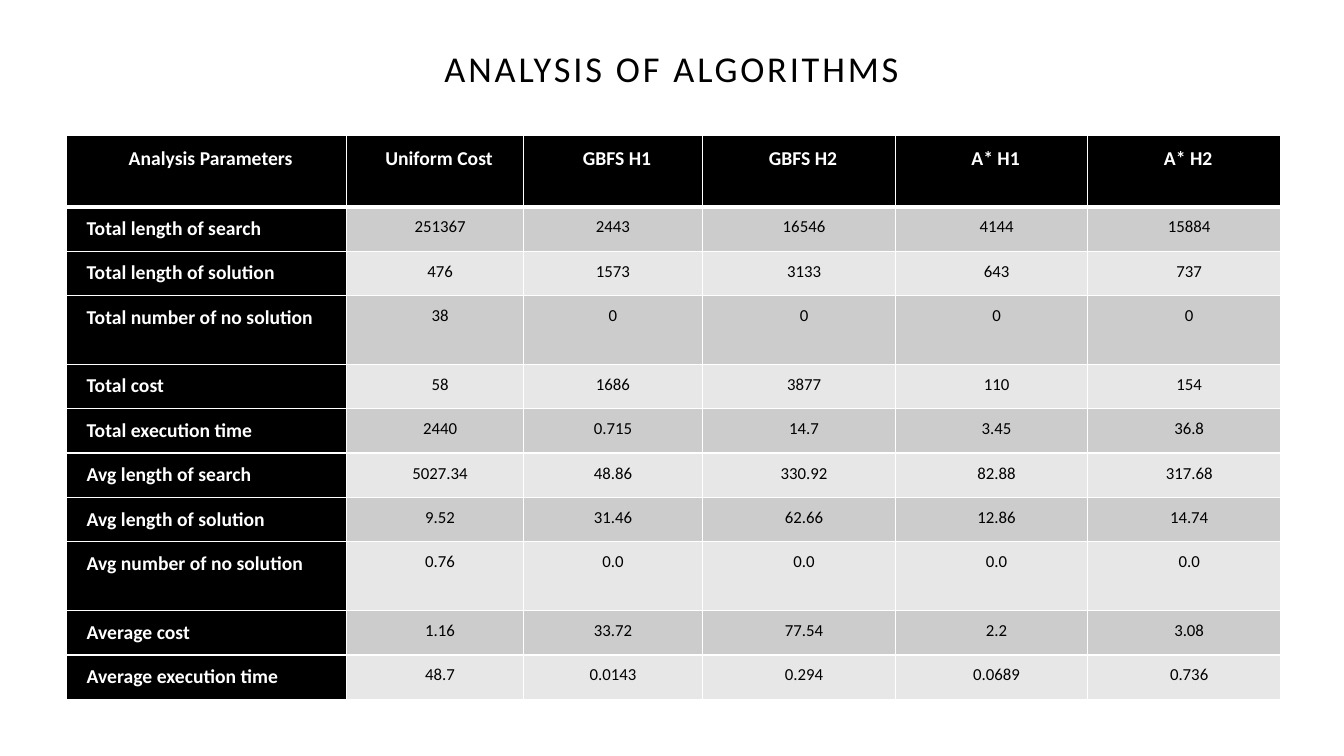
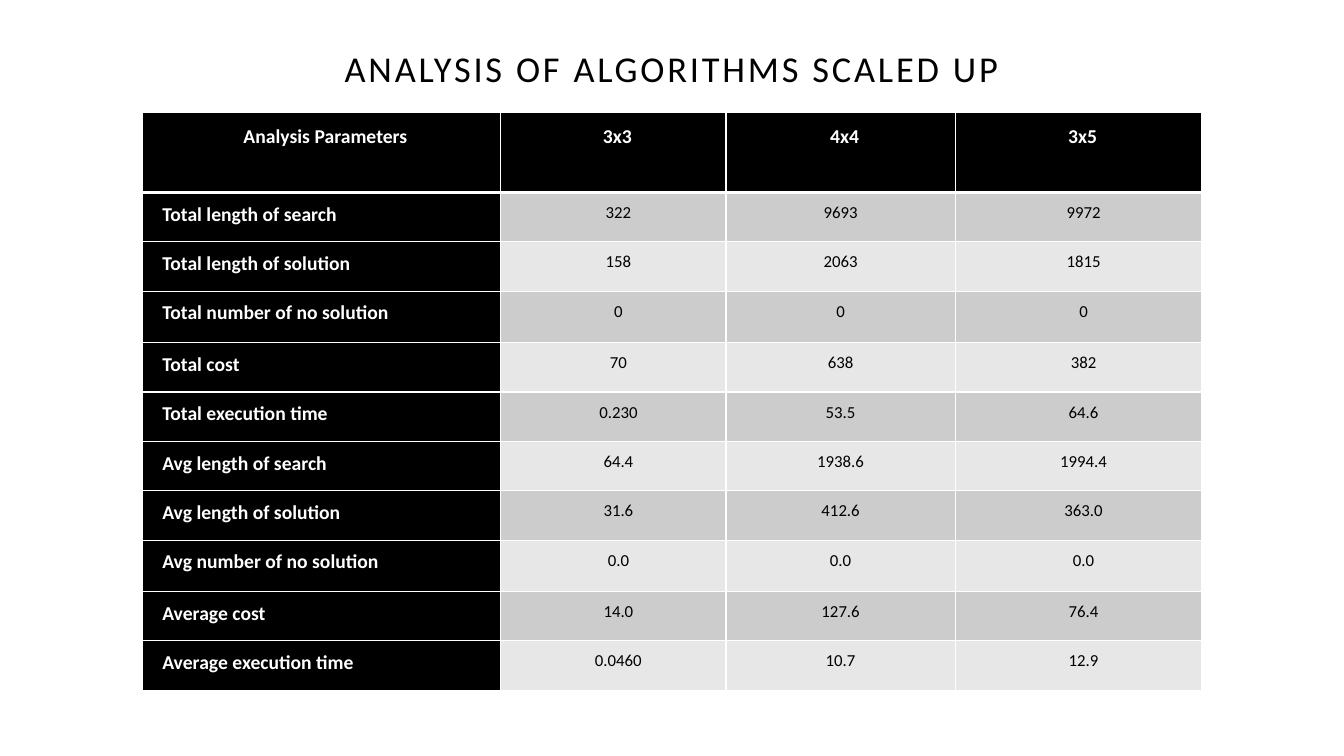
from lxml.etree import SubElement
from pptx import Presentation
from pptx.dml.color import RGBColor
from pptx.enum.shapes import MSO_SHAPE
from pptx.enum.text import MSO_ANCHOR, PP_ALIGN
from pptx.oxml.ns import qn
from pptx.util import Inches, Pt

FONT = "Calibri"
BLACK = RGBColor(0x00, 0x00, 0x00)
WHITE = RGBColor(0xFF, 0xFF, 0xFF)
DARK_BAND = RGBColor(0xCC, 0xCC, 0xCC)
LIGHT_BAND = RGBColor(0xE7, 0xE7, 0xE7)

MEASURES = ["length of search", "length of solution", "number of no solution", "cost", "execution time"]
PARAMETERS = [f"Total {measure}" for measure in MEASURES]
PARAMETERS += [f"Avg {measure}" for measure in MEASURES[:3]]
PARAMETERS += [f"Average {measure}" for measure in MEASURES[3:]]

# Column widths and row heights are shares of the table's full width and height.
ANALYSES = [
    {
        "title": "ANALYSIS OF ALGORITHMS",
        "left": 0.66, "top": 1.34, "width": 12.04, "height": 5.6,
        "column_shares": [2.78, 1.75, 1.78, 1.91, 1.91, 1.91],
        "header_share": 0.71, "row_share": 0.44, "no_solution_share": 0.68,
        "header": ["Uniform Cost", "GBFS H1", "GBFS H2", "A* H1", "A* H2"],
        "results": [
            ["251367", "2443", "16546", "4144", "15884"],
            ["476", "1573", "3133", "643", "737"],
            ["38", "0", "0", "0", "0"],
            ["58", "1686", "3877", "110", "154"],
            ["2440", "0.715", "14.7", "3.45", "36.8"],
            ["5027.34", "48.86", "330.92", "82.88", "317.68"],
            ["9.52", "31.46", "62.66", "12.86", "14.74"],
            ["0.76", "0.0", "0.0", "0.0", "0.0"],
            ["1.16", "33.72", "77.54", "2.2", "3.08"],
            ["48.7", "0.0143", "0.294", "0.0689", "0.736"],
        ],
    },
    {
        "title": "ANALYSIS OF ALGORITHMS SCALED UP",
        "left": 1.41, "top": 1.12, "width": 10.51, "height": 5.73,
        "column_shares": [3.55, 2.23, 2.27, 2.44],
        "header_share": 0.79, "row_share": 0.49, "no_solution_share": 0.51,
        "header": ["3x3", "4x4", "3x5"],
        "results": [
            ["322", "9693", "9972"],
            ["158", "2063", "1815"],
            ["0", "0", "0"],
            ["70", "638", "382"],
            ["0.230", "53.5", "64.6"],
            ["64.4", "1938.6", "1994.4"],
            ["31.6", "412.6", "363.0"],
            ["0.0", "0.0", "0.0"],
            ["14.0", "127.6", "76.4"],
            ["0.0460", "10.7", "12.9"],
        ],
    },
]


def add_title(slide, text):
    title = slide.shapes.add_shape(MSO_SHAPE.RECTANGLE, 0, Inches(0.28), Inches(13.33), Inches(0.84))
    title.shadow.inherit = False
    title.fill.background()
    title.line.color.rgb = WHITE
    title.line.width = Pt(2.5)
    frame = title.text_frame
    frame.word_wrap = True
    frame.vertical_anchor = MSO_ANCHOR.MIDDLE
    frame.margin_left = frame.margin_right = frame.margin_top = frame.margin_bottom = Inches(0.2)
    paragraph = frame.paragraphs[0]
    paragraph.alignment = PP_ALIGN.CENTER
    paragraph.line_spacing = 0.9
    run = paragraph.add_run()
    run.text = text
    run.font.name = FONT
    run.font.size = Pt(26)
    run.font.color.rgb = BLACK
    run.font._element.set("spc", "200")


def set_borders(cell, row):
    """Draw white borders, with a heavy rule between header and body."""
    widths = {"lnL": 1, "lnR": 1, "lnT": 3 if row == 1 else 1, "lnB": 3 if row == 0 else 1}
    properties = cell._tc.get_or_add_tcPr()
    for side, width in widths.items():
        border = SubElement(properties, qn(f"a:{side}"), w=str(Pt(width)))
        fill = SubElement(border, qn("a:solidFill"))
        SubElement(fill, qn("a:srgbClr"), val=str(WHITE))


prs = Presentation()
prs.slide_width = Inches(13.33)
prs.slide_height = Inches(7.5)

for analysis in ANALYSES:
    slide = prs.slides.add_slide(prs.slide_layouts[6])
    add_title(slide, analysis["title"])

    rows = [["Analysis Parameters"] + analysis["header"]]
    rows += [[parameter] + results for parameter, results in zip(PARAMETERS, analysis["results"])]
    row_shares = [analysis["header_share"]]
    for parameter in PARAMETERS:
        row_shares.append(analysis["no_solution_share" if "no solution" in parameter else "row_share"])
    column_shares = analysis["column_shares"]

    table = slide.shapes.add_table(
        len(rows), len(column_shares), Inches(analysis["left"]), Inches(analysis["top"]),
        Inches(analysis["width"]), Inches(analysis["height"]),
    ).table
    for column, share in zip(table.columns, column_shares):
        column.width = Inches(analysis["width"] * share / sum(column_shares))

    for r, (texts, share) in enumerate(zip(rows, row_shares)):
        table.rows[r].height = Inches(analysis["height"] * share / sum(row_shares))
        for c, text in enumerate(texts):
            cell = table.cell(r, c)
            is_heading = r == 0 or c == 0
            set_borders(cell, r)
            cell.fill.solid()
            cell.fill.fore_color.rgb = BLACK if is_heading else DARK_BAND if r % 2 else LIGHT_BAND

            narrow = r > 0 and c == 2
            cell.margin_left = Inches(0.05 if narrow else 0.2)
            cell.margin_right = Inches(0.05 if narrow else 0.1 if r else 0.12)
            cell.margin_top = cell.margin_bottom = Inches(0.1 if r else 0.12)

            cell.text = text
            paragraph = cell.text_frame.paragraphs[0]
            paragraph.alignment = PP_ALIGN.LEFT if r and c == 0 else PP_ALIGN.CENTER
            paragraph.font.name = FONT
            paragraph.font.size = Pt(14 if is_heading else 12)
            paragraph.font.bold = is_heading
            paragraph.font.color.rgb = WHITE if is_heading else BLACK

prs.save("out.pptx")
